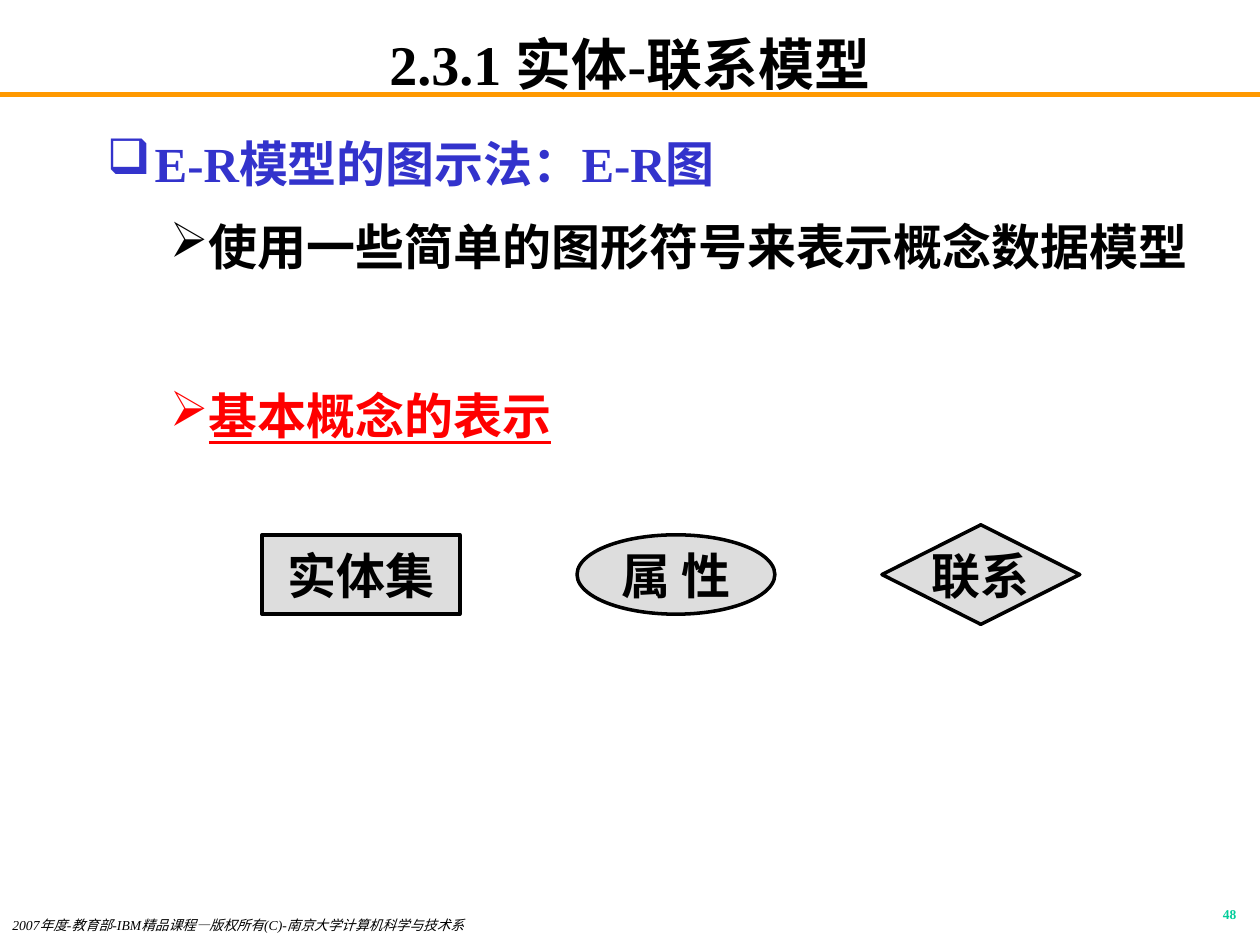
from lxml import etree
from pptx import Presentation
from pptx.dml.color import RGBColor
from pptx.enum.shapes import MSO_CONNECTOR, MSO_SHAPE
from pptx.enum.text import MSO_ANCHOR, PP_ALIGN
from pptx.oxml.ns import qn
from pptx.util import Inches, Pt

BLACK = RGBColor(0x00, 0x00, 0x00)
BLUE = RGBColor(0x33, 0x33, 0xCC)
RED = RGBColor(0xFF, 0x00, 0x00)
ORANGE = RGBColor(0xFF, 0x99, 0x00)
GREEN = RGBColor(0x00, 0xCC, 0x99)
GRAY = RGBColor(0xDD, 0xDD, 0xDD)
FACE = "Times New Roman"


def style(par, size, color, bold=True, italic=None):
    font = par.font
    font.name, font.size = FACE, Pt(size)
    font.bold, font.italic = bold, italic
    font.color.rgb = color


def add_box(slide, left, top, width, height):
    box = slide.shapes.add_textbox(
        Inches(left), Inches(top), Inches(width), Inches(height))
    frame = box.text_frame
    frame.word_wrap = True
    return frame


def add_title(slide, text):
    frame = add_box(slide, 0.75, 0.25, 8.5, 0.5)
    frame.margin_top = frame.margin_bottom = 0
    frame.vertical_anchor = MSO_ANCHOR.MIDDLE
    par = frame.paragraphs[0]
    par.text = text
    par.alignment = PP_ALIGN.CENTER
    style(par, 32, BLACK)


def add_rule(slide, top):
    y = Inches(top)
    rule = slide.shapes.add_connector(
        MSO_CONNECTOR.STRAIGHT, 0, y, Inches(10), y)
    rule.line.color.rgb = ORANGE
    rule.line.width = Pt(3)
    etree.SubElement(rule._element.spPr, qn("a:effectLst"))


def add_bullet(par, mark, margin, indent):
    props = par._p.get_or_add_pPr()
    props.set("marL", str(Inches(margin)))
    props.set("indent", str(Inches(indent)))
    etree.SubElement(props, qn("a:buChar")).set("char", mark)


def add_list(slide, box, items):
    """Write (text, level, color, underline) items as bulleted lines."""
    frame = add_box(slide, *box)
    for i, (text, level, color, under) in enumerate(items):
        par = frame.add_paragraph() if i else frame.paragraphs[0]
        par.text = text
        par.level = level
        par.line_spacing = 1.2
        if i:
            par.space_before = Pt(7)
        if level:
            add_bullet(par, "➢", 0.81, -0.31)
        else:
            add_bullet(par, "❑", 0.38, -0.38)
        style(par, 28, color)
        if under:
            par.font.underline = True


def add_symbols(slide, middle):
    """Draw the three E-R symbols, centred on one horizontal line."""
    symbols = [
        (MSO_SHAPE.RECTANGLE, "实体集", 2.08, 0.63),
        (MSO_SHAPE.OVAL, "属 性", 4.58, 0.63),
        (MSO_SHAPE.FLOWCHART_DECISION, "联系", 7, 0.79),
    ]
    for kind, text, left, height in symbols:
        shape = slide.shapes.add_shape(
            kind, Inches(left), Inches(middle - height / 2),
            Inches(1.57), Inches(height))
        shape.shadow.inherit = False
        shape.fill.solid()
        shape.fill.fore_color.rgb = GRAY
        shape.line.color.rgb = BLACK
        shape.line.width = Pt(2)
        frame = shape.text_frame
        frame.word_wrap = False
        frame.vertical_anchor = MSO_ANCHOR.MIDDLE
        par = frame.paragraphs[0]
        par.text = text
        par.alignment = PP_ALIGN.CENTER
        style(par, 28, BLACK)


def add_footer(slide, note, number):
    par = add_box(slide, 0, 7.25, 5.5, 0.25).paragraphs[0]
    par.text = note
    par.line_spacing = 0.8
    style(par, 7.8, BLACK, bold=False, italic=True)

    par = add_box(slide, 7.83, 7.17, 2.08, 0.25).paragraphs[0]
    par.text = number
    par.line_spacing = 0.8
    par.alignment = PP_ALIGN.RIGHT
    style(par, 7.7, GREEN)


def main():
    deck = Presentation()
    deck.slide_width, deck.slide_height = Inches(10), Inches(7.5)
    slide = deck.slides.add_slide(deck.slide_layouts[6])
    add_rule(slide, 0.75)
    add_title(slide, "2.3.1 实体-联系模型")
    add_list(slide, (0.75, 0.92, 9, 1.33), [
        ("E-R模型的图示法：E-R图", 0, BLUE, False),
        ("使用一些简单的图形符号来表示概念数据模型", 1, BLACK, False),
    ])
    add_list(slide, (0.75, 2.92, 8.5, 0.83), [
        ("基本概念的表示", 1, RED, True),
    ])
    add_symbols(slide, 4.56)
    add_footer(
        slide,
        "2007年度-教育部-IBM精品课程—版权所有(C)-南京大学计算机科学与技术系",
        "48")
    deck.save("out.pptx")


if __name__ == "__main__":
    main()
